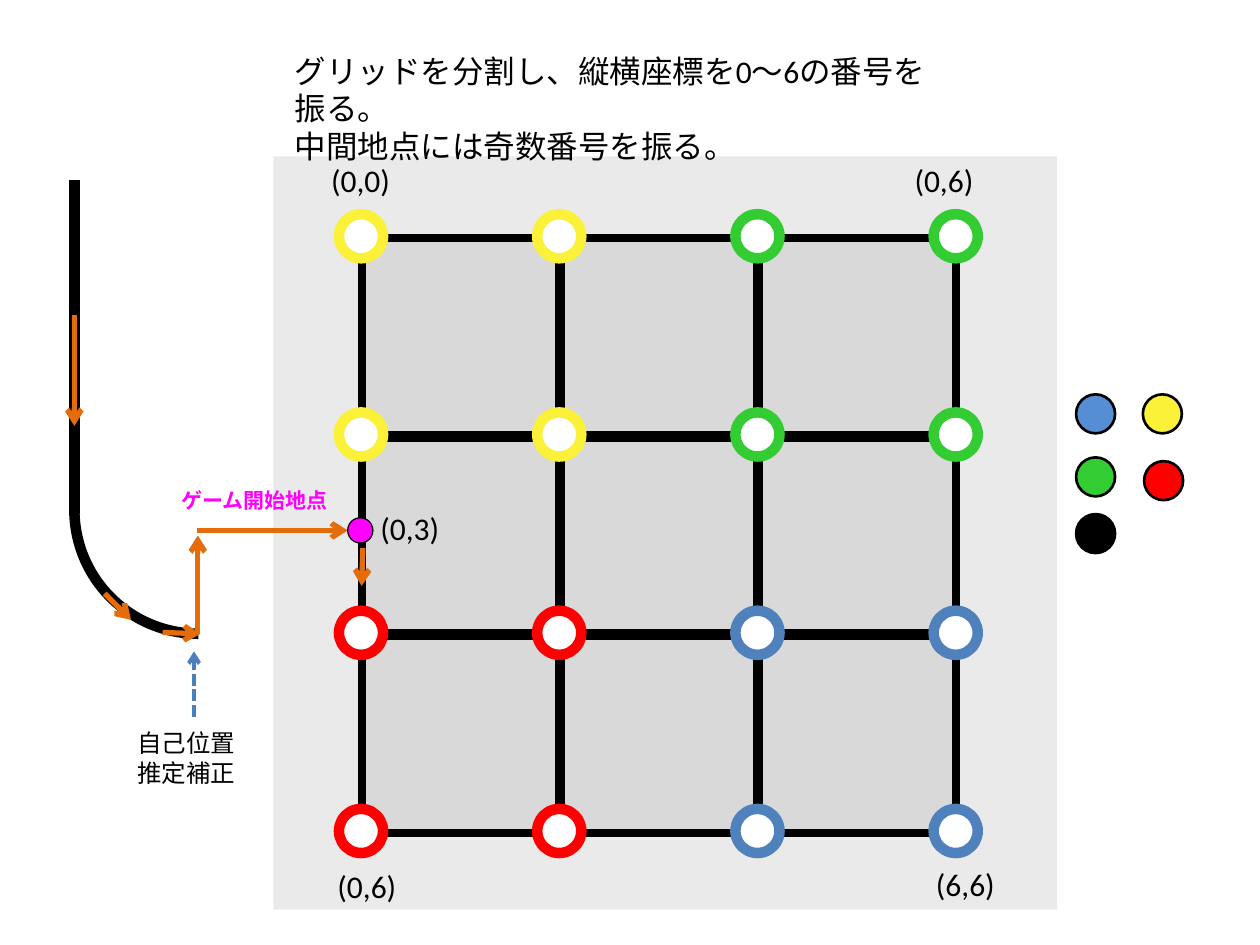
import itertools
from dataclasses import dataclass

import lxml.etree
import pptx
import pptx.dml.color
import pptx.enum.dml
import pptx.enum.shapes
import pptx.enum.text
import pptx.oxml.ns
import pptx.util

Inches = pptx.util.Inches
Shape = pptx.enum.shapes.MSO_SHAPE
AutoSize = pptx.enum.text.MSO_AUTO_SIZE


@dataclass(frozen=True)
class Theme:
    font: str = "Calibri"
    body_size: int = 18
    note_size: int = 14
    start_size: int = 12
    black: str = "000000"
    white: str = "FFFFFF"
    panel: str = "EAEAEA"
    field: str = "D9D9D9"
    yellow: str = "FAF138"
    green: str = "33CC33"
    red: str = "FF0000"
    blue: str = "4F81BD"
    light_blue: str = "558ED5"
    dash_blue: str = "4B7EBC"
    orange: str = "E46C0A"
    magenta: str = "FF00FF"


def color(value):
    return pptx.dml.color.RGBColor.from_string(value)


def assign(target, values):
    for name, value in values.items():
        setattr(target, name, value)


class Board:
    def __init__(self, page, theme):
        self.page = page
        self.theme = theme
        self.target = page.shapes

    def begin_group(self):
        self.target = self.page.shapes.add_group_shape().shapes

    def end_group(self):
        self.target = self.page.shapes

    def stroke(self, line, shade, width):
        line.fill.solid()
        line.width = pptx.util.Pt(width)
        line.color.rgb = color(shade)

    def shape(self, kind, left, top, width, height, fill=None, line=None, weight=1):
        box = self.target.add_shape(
            kind, Inches(left), Inches(top), Inches(width), Inches(height)
        )
        box.shadow.inherit = False
        if fill:
            box.fill.solid()
            box.fill.fore_color.rgb = color(fill)
        else:
            box.fill.background()
        if line:
            self.stroke(box.line, line, weight)
        else:
            box.line.fill.background()
        return box

    def circle(self, left, top, size, fill, line, weight):
        return self.shape(Shape.OVAL, left, top, size, size, fill, line, weight)

    def line(self, start, end, shade, weight, arrow=False, dash=None):
        connector = self.target.add_connector(
            pptx.enum.shapes.MSO_CONNECTOR.STRAIGHT, *map(Inches, (*start, *end))
        )
        self.stroke(connector.line, shade, weight)
        if dash:
            connector.line.dash_style = dash
        name = pptx.oxml.ns.qn
        properties = connector._element.spPr
        if arrow:
            outline = properties.find(name("a:ln"))
            lxml.etree.SubElement(outline, name("a:tailEnd"), type="arrow")
        lxml.etree.SubElement(properties, name("a:effectLst"))

    def fill_text(self, box, lines, size, shade, wrap=True, bold=False, fit=AutoSize.SHAPE_TO_FIT_TEXT):
        frame = box.text_frame
        assign(frame, {
            "word_wrap": wrap,
            "auto_size": fit,
            "vertical_anchor": pptx.enum.text.MSO_ANCHOR.TOP,
        })
        frame.text = "\n".join(lines)
        for para in frame.paragraphs:
            para.alignment = pptx.enum.text.PP_ALIGN.LEFT
            for span in para.runs:
                assign(span.font, {
                    "name": self.theme.font,
                    "size": pptx.util.Pt(size),
                    "bold": bold,
                })
                span.font.color.rgb = color(shade)

    def text(self, left, top, width, height, words, size, shade, **options):
        box = self.target.add_textbox(*map(Inches, (left, top, width, height)))
        self.fill_text(box, [words], size, shade, **options)

    def title(self, left, top, width, height, lines):
        box = self.page.shapes.title
        assign(box, {
            "left": Inches(left),
            "top": Inches(top),
            "width": Inches(width),
            "height": Inches(height),
        })
        self.fill_text(box, lines, self.theme.body_size, self.theme.black, fit=AutoSize.NONE)
        self.page.shapes._spTree.append(box._element)


def draw_field(board, theme):
    left, top, side = 2.87, 1.89, 4.72
    pitch = side / 3
    board.begin_group()
    board.shape(Shape.RECTANGLE, 2.17, 1.24, 6.22, 5.98, theme.panel)
    board.shape(Shape.RECTANGLE, left, top, side, side, theme.field, theme.black, 4.5)
    for step in (1, 2):
        across, down = left + step * pitch, top + step * pitch
        board.line((left, down), (left + side, down), theme.black, 6)
        board.line((across, top), (across, top + side), theme.black, 6)
    quadrants = ((theme.yellow, theme.green), (theme.red, theme.blue))
    for row, column in itertools.product(range(4), repeat=2):
        board.circle(
            2.69 + column * pitch, 1.7 + row * pitch, 0.35,
            theme.white, quadrants[row // 2][column // 2], 6,
        )
    board.end_group()


def draw_course(board, theme):
    board.begin_group()
    curve = board.shape(Shape.ARC, 0.59, 3.06, 1.97, 1.97, None, theme.black, 6)
    curve.rotation = 180
    board.line((0.59, 1.43), (0.59, 4.08), theme.black, 6)
    board.end_group()
    board.line((1.54, 5.69), (1.54, 5.17), theme.dash_blue, 2.25, arrow=True,
               dash=pptx.enum.dml.MSO_LINE.SQUARE_DOT)
    route = (
        ((1.57, 5.03), (1.57, 4.25)),
        ((1.29, 5.02), (1.59, 5.03)),
        ((0.59, 2.5), (0.59, 3.38)),
        ((0.83, 4.71), (1.04, 4.92)),
        ((1.56, 4.21), (2.76, 4.21)),
        ((2.88, 4.35), (2.87, 4.65)),
    )
    for start, end in route:
        board.line(start, end, theme.orange, 3, arrow=True)


def main():
    deck = pptx.Presentation()
    assign(deck, {"slide_width": Inches(10), "slide_height": Inches(7.5)})
    theme = Theme()
    board = Board(deck.slides.add_slide(deck.slide_layouts[5]), theme)

    draw_field(board, theme)
    blocks = (
        (9.07, 3.13, theme.yellow),
        (8.54, 3.63, theme.green),
        (8.54, 3.13, theme.light_blue),
        (9.08, 3.66, theme.red),
        (8.54, 4.08, theme.black),
    )
    for left, top, fill in blocks:
        board.circle(left, top, 0.31, fill, theme.black, 1.5)
    draw_course(board, theme)

    coordinates = (
        (2.53, 1.23, "(0,0)"),
        (7.16, 1.23, "(0,6)"),
        (7.33, 6.82, "(6,6)"),
        (2.92, 3.99, "(0,3)"),
        (2.58, 6.83, "(0,6)"),
    )
    for left, top, words in coordinates:
        board.text(left, top, 0.68, 0.4, words, theme.body_size, theme.black, wrap=False)
    board.text(0.99, 5.73, 1.1, 0.57, "自己位置推定補正", theme.note_size, theme.black)
    board.title(2.24, 0.36, 5.4, 0.71, [
        "グリッドを分割し、縦横座標を0～6の番号を振る。",
        "中間地点には奇数番号を振る。",
    ])
    board.text(1.34, 3.82, 1.37, 0.3, "ゲーム開始地点", theme.start_size,
               theme.magenta, wrap=False, bold=True)
    board.circle(2.76, 4.11, 0.2, theme.magenta, theme.black, 0.75)
    deck.save("out.pptx")


if __name__ == "__main__":
    main()
